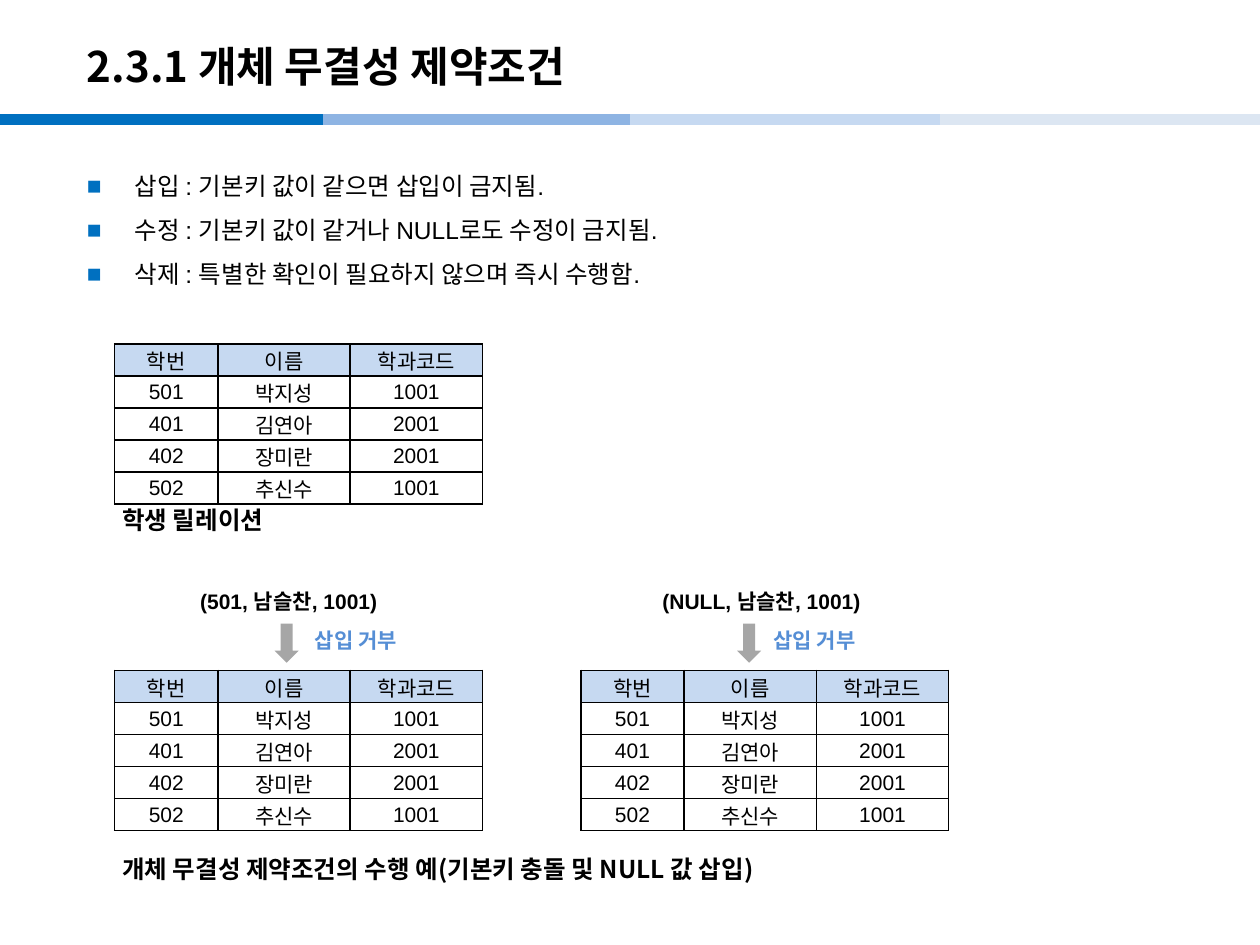
"""Build the slide on the entity integrity constraint."""
from pptx import Presentation
from pptx.dml.color import RGBColor
from pptx.enum import shapes, text
from pptx.oxml import parse_xml
from pptx.oxml.ns import nsdecls, qn
from pptx.util import Inches, Pt

THEME = {
    "ink": "000000", "accent": "0070C0", "header": "C6D9F1", "cell": "FFFFFF",
    "arrow": "A6A6A6", "reject": "558ED5",
    "band": ["0070C0", "8EB4E3", "C6D9F1", "DCE6F2"],
    "latin": "Arial", "korean": "Noto Sans CJK KR",
    "title": 24, "body": 14, "small": 12,
}


def style(paragraph, size, color="ink", font="latin", bold=False):
    for run in paragraph.runs:
        run.font.size = Pt(THEME[size])
        run.font.bold = bold
        run.font.name = THEME[font]
        run.font.color.rgb = RGBColor.from_string(THEME[color])
        run.font._element.find(qn("a:latin")).addnext(
            parse_xml(f'<a:ea {nsdecls("a")} typeface="{THEME["korean"]}"/>'))


def add_label(words, left, top, width, height, wrap=False, **look):
    label = slide.shapes.add_textbox(Inches(left), Inches(top), Inches(width), Inches(height))
    label.text_frame.word_wrap = wrap
    label.text_frame.text = words
    for paragraph in label.text_frame.paragraphs:
        style(paragraph, **look)
    return label.text_frame


deck = Presentation()
deck.slide_width, deck.slide_height = Inches(10), Inches(7.5)
slide = deck.slides.add_slide(deck.slide_layouts[5])

for start, color in zip([0, 2.56, 5, 7.46], THEME["band"]):
    band = slide.shapes.add_connector(
        shapes.MSO_CONNECTOR.STRAIGHT,
        Inches(start), Inches(0.95), Inches(start + 2.56), Inches(0.95))
    band.line.color.rgb = RGBColor.from_string(color)
    band.line.width = Pt(6)
    band._element.spPr.append(parse_xml(f'<a:effectLst {nsdecls("a")}/>'))

title = slide.shapes.title
title.left, title.top, title.width, title.height = map(Inches, (0.59, 0.22, 8.27, 0.6))
title.text_frame.text = "2.3.1 개체 무결성 제약조건"
title.text_frame.vertical_anchor = text.MSO_ANCHOR.MIDDLE
title.text_frame.paragraphs[0].alignment = text.PP_ALIGN.LEFT
style(title.text_frame.paragraphs[0], "title", font="korean", bold=True)

rules = add_label(
    "삽입 : 기본키 값이 같으면 삽입이 금지됨.\n"
    "수정 : 기본키 값이 같거나 NULL로도 수정이 금지됨.\n"
    "삭제 : 특별한 확인이 필요하지 않으며 즉시 수행함.",
    0.59, 1.19, 8.82, 5.98, wrap=True, size="body")
for rule in rules.paragraphs:
    rule.line_spacing = 1.5
    properties = rule._p.get_or_add_pPr()
    properties.set("marL", str(Inches(0.38)))
    properties.set("indent", str(-Inches(0.38)))
    for bullet in (f'<a:buClr {nsdecls("a")}><a:srgbClr val="{THEME["accent"]}"/></a:buClr>',
                   f'<a:buFont {nsdecls("a")} typeface="{THEME["latin"]}"/>',
                   f'<a:buChar {nsdecls("a")} char="■"/>'):
        properties.append(parse_xml(bullet))

students = [
    ("학번", "이름", "학과코드"),
    ("501", "박지성", "1001"),
    ("401", "김연아", "2001"),
    ("402", "장미란", "2001"),
    ("502", "추신수", "1001"),
]
for left, top in [(0.91, 2.73), (0.91, 5.32), (4.61, 5.32)]:
    relation = slide.shapes.add_table(
        5, 3, Inches(left), Inches(top), Inches(2.92), Inches(1.27)).table
    for column, width in zip(relation.columns, [0.82, 1.05, 1.05]):
        column.width = Inches(width)
    for r, student in enumerate(students):
        for c, value in enumerate(student):
            cell = relation.cell(r, c)
            cell.text_frame.text = value
            cell.vertical_anchor = text.MSO_ANCHOR.MIDDLE
            cell.margin_left = cell.margin_right = cell.margin_top = Inches(0.01)
            cell.margin_bottom = 0
            cell.text_frame.paragraphs[0].alignment = text.PP_ALIGN.CENTER
            style(cell.text_frame.paragraphs[0], "small")
            for edge in ("lnL", "lnR", "lnT", "lnB"):
                cell._tc.get_or_add_tcPr().append(parse_xml(
                    f'<a:{edge} {nsdecls("a")} w="{Pt(1)}"><a:solidFill>'
                    f'<a:srgbClr val="{THEME["ink"]}"/></a:solidFill></a:{edge}>'))
            cell.fill.solid()
            cell.fill.fore_color.rgb = RGBColor.from_string(
                THEME["cell" if r else "header"])

for words, top, width in [
        ("학생 릴레이션", 3.97, 2.05),
        ("개체 무결성 제약조건의 수행 예(기본키 충돌 및 NULL 값 삽입)", 6.74, 6)]:
    caption = add_label(words, 0.83, top, width, 0.31, wrap=True,
                        size="body", font="korean", bold=True)
    caption.vertical_anchor = text.MSO_ANCHOR.MIDDLE
    caption.margin_left = Inches(0.14)

for words, left, width, arrow_left, reject_left in [
        ("(501, 남슬찬, 1001)", 1.49, 1.72, 2.12, 2.4),
        ("(NULL, 남슬찬, 1001)", 5.16, 1.86, 5.79, 6.04)]:
    add_label(words, left, 4.62, width, 0.3, size="small", bold=True)
    arrow = slide.shapes.add_shape(
        shapes.MSO_SHAPE.RIGHT_ARROW,
        Inches(arrow_left), Inches(5.01), Inches(0.31), Inches(0.19))
    arrow.rotation = 90
    arrow.shadow.inherit = False
    arrow.fill.solid()
    arrow.fill.fore_color.rgb = RGBColor.from_string(THEME["arrow"])
    arrow.line.fill.background()
    add_label("삽입 거부", reject_left, 4.93, 1.38, 0.3, wrap=True,
              size="small", color="reject", font="korean", bold=True)

deck.save("out.pptx")
